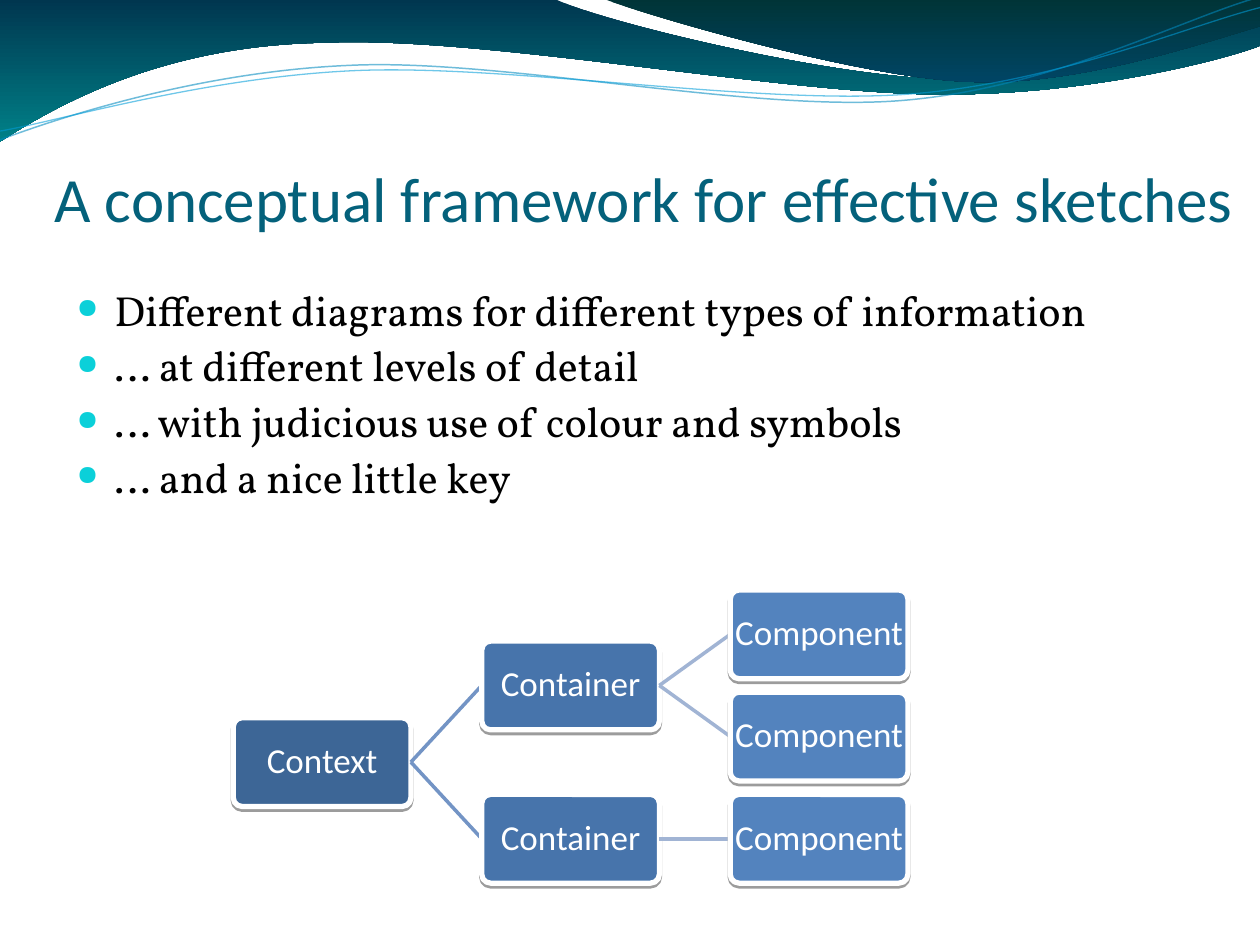
from lxml import etree
from pptx import Presentation
from pptx.dml.color import RGBColor
from pptx.enum.shapes import MSO_CONNECTOR, MSO_SHAPE
from pptx.enum.text import MSO_ANCHOR, PP_ALIGN
from pptx.oxml import parse_xml
from pptx.oxml.ns import nsdecls, qn
from pptx.util import Pt

LEFT, CENTER = PP_ALIGN.LEFT, PP_ALIGN.CENTER
TOP, MIDDLE, BOTTOM = MSO_ANCHOR.TOP, MSO_ANCHOR.MIDDLE, MSO_ANCHOR.BOTTOM
ROUND, STRAIGHT = MSO_SHAPE.ROUNDED_RECTANGLE, MSO_CONNECTOR.STRAIGHT
HEX = {
    "title": "04617B", "body": "000000", "bullet": "0BD0D9", "white": "FFFFFF",
    "sea_top": "00364F", "sea_low": "008188", "deep_top": "003437", "deep_low": "004667",
    "thick": "008ABF", "thin": "009DD9",
    "Context": "3D6696", "Container": "4774AB", "Component": "5383BE",
}
RGB = {name: RGBColor.from_string(code) for name, code in HEX.items()}
LINKS = [RGBColor.from_string(code) for code in ("7394C5", "A1B4D4")]

deck = Presentation()
deck.slide_width, deck.slide_height = Pt(720), Pt(540)
slide = deck.slides.add_slide(deck.slide_layouts[5])
shapes = slide.shapes


def write(frame, text, size=20, font="Calibri", color="white", align=LEFT,
          anchor=TOP, inset=(7.2, 3.6, 7.2, 3.6), wrap=True, space=1, gap=0, bullet=None):
    frame.word_wrap, frame.vertical_anchor = wrap, anchor
    (frame.margin_left, frame.margin_top,
     frame.margin_right, frame.margin_bottom) = [Pt(side) for side in inset]
    frame.text = text
    for i, para in enumerate(frame.paragraphs):
        para.alignment, para.line_spacing = align, space
        para.space_before = Pt(gap if i else 0)
        if bullet:
            props = para._p.get_or_add_pPr()
            props.set("marL", str(Pt(21.6)))
            props.set("indent", str(-Pt(21.6)))
            for mark in (f'<a:buClr {nsdecls("a")}><a:srgbClr val="{HEX["bullet"]}"/></a:buClr>',
                         f'<a:buSzPct {nsdecls("a")} val="66000"/>',
                         f'<a:buChar {nsdecls("a")} char="{bullet}"/>'):
                props.append(parse_xml(mark))
        para.font.size, para.font.name = Pt(size), font
        para.font.color.rgb = RGB[color]


def trace(start, steps, close):
    """Outline from lines (x, y) and cubic curves (two handles, end), in points."""
    dots = [(Pt(x), Pt(y)) for step in steps for x, y in zip(step[::2], step[1::2])]
    pen = shapes.build_freeform(Pt(start[0]), Pt(start[1]), scale=1.0)
    pen.add_line_segments(dots, close=close)
    shape = pen.convert_to_shape()
    lines = iter(list(shape._element.iter(qn("a:lnTo"))))
    for step in steps:
        first = next(lines)
        if len(step) == 6:
            bend = etree.Element(qn("a:cubicBezTo"))
            first.addprevious(bend)
            for line in (first, next(lines), next(lines)):
                bend.append(line[0])
                line.getparent().remove(line)
    shape.shadow.inherit = False
    return shape


# Header waves
waves = [
    ("sea", (0, 0), [(316.8, -0.7), (342.7, 12.2, 478, 45.4, 545.8, 45.4),
                     (614.2, 45.4, 689.8, 18.7, 720, 6.5), (720.7, 25.9),
                     (707.8, 31.7, 626.4, 54.7, 537.1, 54),
                     (447.8, 54, 275, 20.2, 185, 24.5),
                     (92.9, 25.9, 33.1, 59.8, -0.7, 81.4)]),
    ("deep", (344.9, -0.7), [(366.5, 7.9, 491, 44.6, 553.7, 46.8),
                             (616.3, 49.7, 691.9, 23, 720, 15.1), (720, 0)]),
]
for name, start, steps in waves:
    wave = trace(start, steps, True)
    wave.line.fill.background()
    wave.fill.gradient()
    wave.fill.gradient_angle = 270
    for stop, place, end in zip(wave.fill.gradient_stops, (0, 1), ("_top", "_low")):
        stop.position, stop.color.rgb = place, RGB[name + end]

curves = [
    ("thick", 0.85, (0, 79.9), [(34.6, 67, 113.8, 41, 199.4, 37.4),
                                (284.4, 33.1, 427, 64.1, 513.4, 57.6),
                                (599.8, 51.1, 675.4, 10.8, 718.6, -1.4)]),
    ("thin", 0.75, (0, 74.9), [(33.8, 69.1, 118.1, 43.9, 203.8, 40.3),
                               (290.2, 36.7, 430.6, 59.8, 516.2, 54),
                               (601.9, 48.2, 677.5, 15.1, 720, 4.3)]),
]
for name, width, start, steps in curves:
    curve = trace(start, steps, False)
    curve.fill.background()
    curve.line.width, curve.line.color.rgb = Pt(width), RGB[name]
    tint = curve.line._ln.find(".//" + qn("a:srgbClr"))
    etree.SubElement(tint, qn("a:alpha"), val="56000")

# Title and bullets
title = shapes.title
title.left, title.top, title.width, title.height = Pt(31), Pt(66), Pt(684), Pt(68.4)
write(title.text_frame, "A conceptual framework for effective sketches", size=36,
      color="title", anchor=BOTTOM, inset=(0, 3.6, 0, 0))

points = ["Different diagrams for different types of information",
          "… at different levels of detail",
          "… with judicious use of colour and symbols",
          "… and a nice little key"]
body = shapes.add_textbox(Pt(36.7), Pt(162), Pt(648), Pt(159))
write(body.text_frame, "\n".join(points), size=24, font="Vollkorn", color="body",
      space=0.9, gap=6, bullet="●")

# Tree: label, column, row, index of parent
WIDE, HIGH = 101.5, 50.7
nodes = [("Context", 0, 1.25, None),
         ("Container", 1, 0.5, 0), ("Component", 2, 0, 1), ("Component", 2, 1, 1),
         ("Container", 1, 2, 0), ("Component", 2, 2, 4)]
spots = [(133.3 + 142 * col, 362.5 + 58.4 * row) for _, col, row, _ in nodes]
for (label, col, _, up), (x, y) in zip(nodes, spots):
    if up is not None:
        px, py = spots[up]
        link = shapes.add_connector(STRAIGHT, Pt(px + WIDE), Pt(py), Pt(x), Pt(y))
        link.line.width, link.line.color.rgb = Pt(2), LINKS[col - 1]
        etree.SubElement(link._element.spPr, qn("a:effectLst"))
    box = shapes.add_shape(ROUND, Pt(x), Pt(y - HIGH / 2), Pt(WIDE), Pt(HIGH))
    box.adjustments[0] = 0.1
    box.fill.solid()
    box.fill.fore_color.rgb = RGB[label]
    box.line.width, box.line.color.rgb = Pt(3), RGB["white"]
    box.shadow.inherit = False
    box._element.spPr.find(qn("a:effectLst")).append(parse_xml(
        f'<a:outerShdw {nsdecls("a")} blurRad="0" dist="{Pt(1.6)}" dir="5400000" '
        'rotWithShape="0"><a:srgbClr val="000000"><a:alpha val="38000"/></a:srgbClr>'
        '</a:outerShdw>'))
    write(box.text_frame, label, align=CENTER, anchor=MIDDLE, inset=(2, 2, 2, 2),
          wrap=False, space=0.9)

deck.save("out.pptx")
